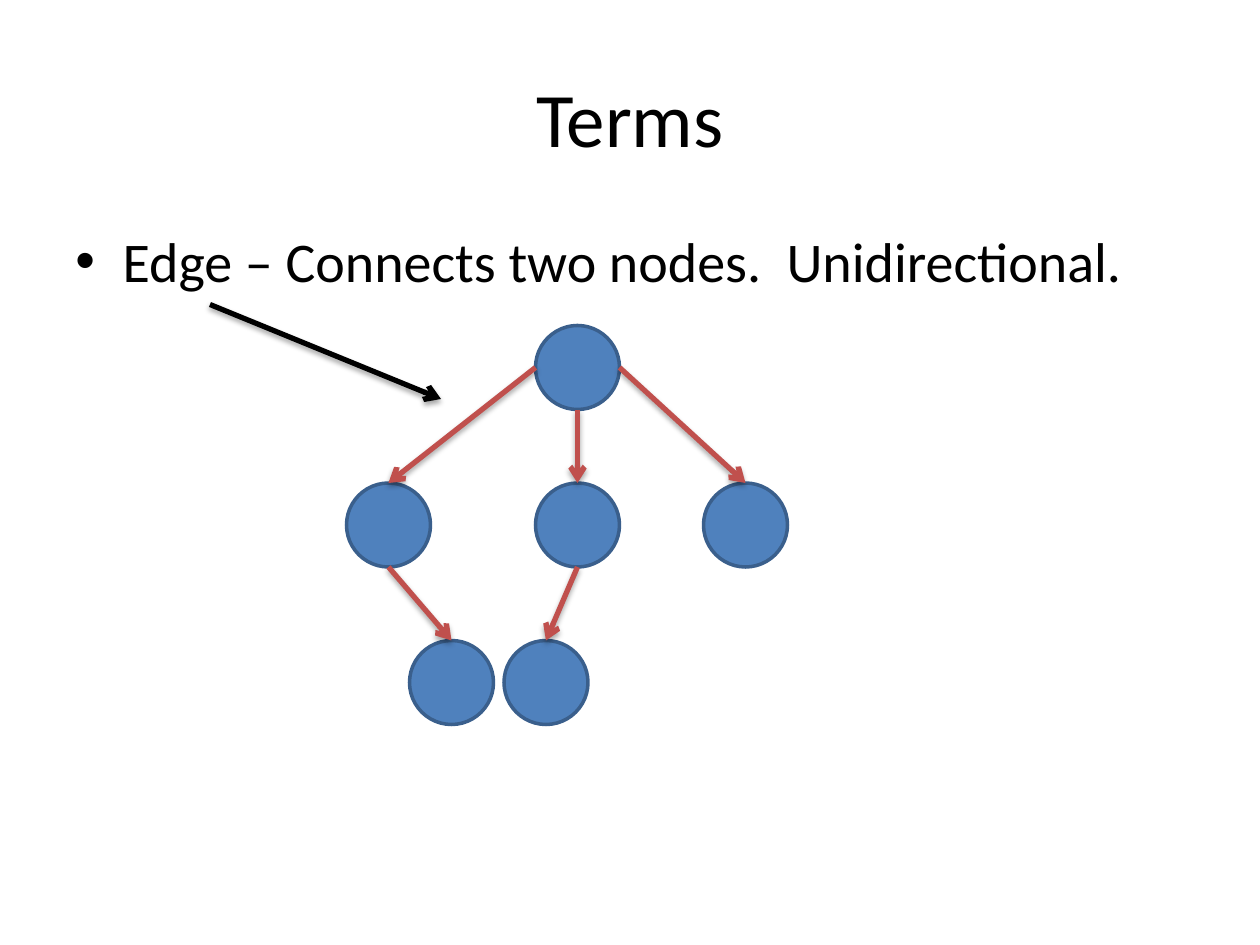
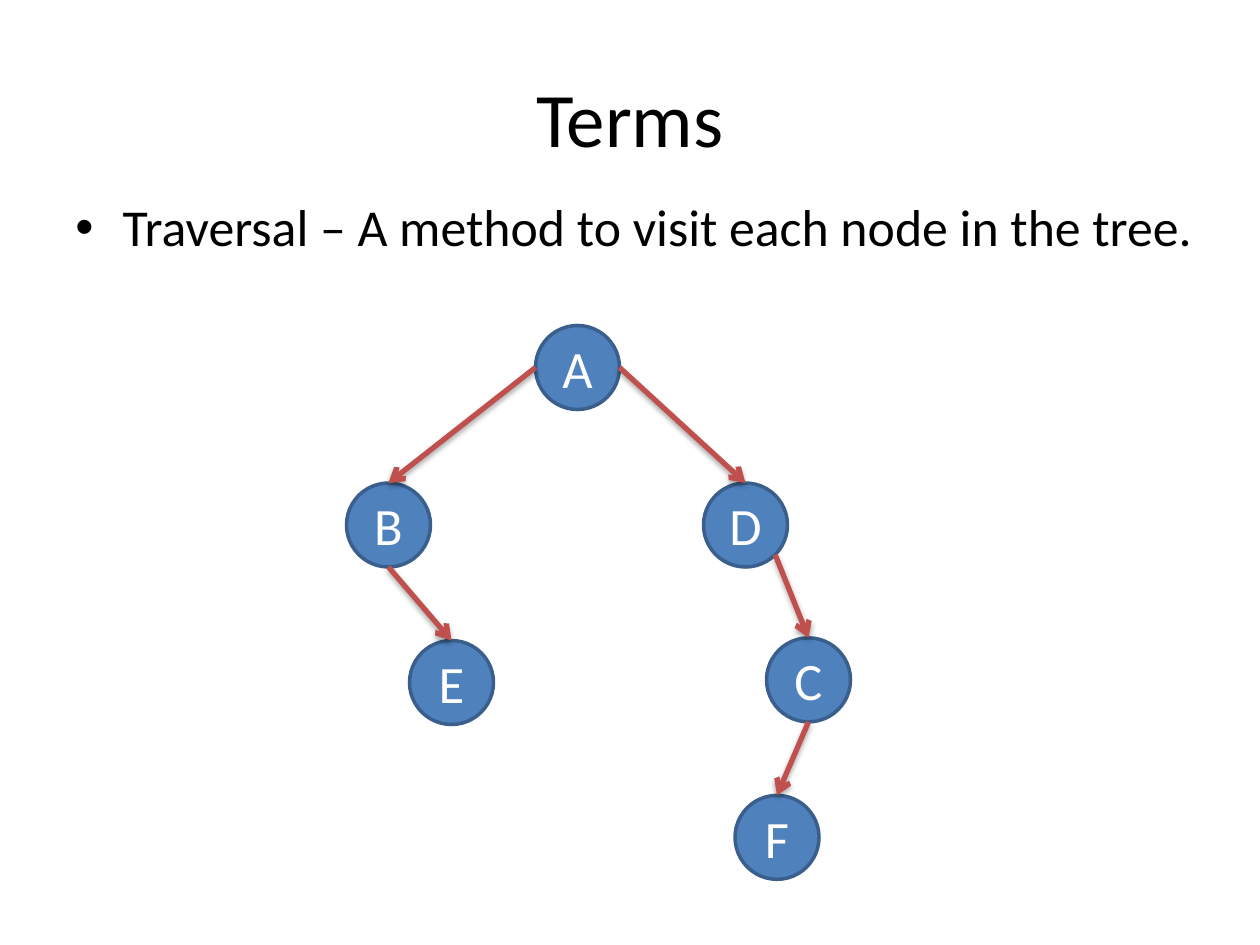
import math
from dataclasses import dataclass
from enum import Enum

from lxml import etree
from pptx import Presentation
from pptx import util as u
from pptx.dml.color import RGBColor
from pptx.enum import shapes, text
from pptx.oxml import ns

UNIT = u.Inches(10) / 120
COLS, ROWS = 120, 90
MARGIN = 6
NODE_SIZE = 8
INDENT = 4.5
FONT = "Calibri"
BLACK = RGBColor(0x00, 0x00, 0x00)
WHITE = RGBColor(0xFF, 0xFF, 0xFF)
NODE_FILL = RGBColor(0x4F, 0x81, 0xBD)
NODE_LINE = RGBColor(0x3A, 0x5F, 0x8C)
EDGE_RED = RGBColor(0xC0, 0x50, 0x4D)
DIAGONAL = math.sqrt(0.5)


class Site(Enum):
    TOP = (0, -1)
    LEFT = (-1, 0)
    BOTTOM = (0, 1)
    RIGHT = (1, 0)
    LOWER_RIGHT = (DIAGONAL, DIAGONAL)


@dataclass(frozen=True)
class Node:
    col: float
    row: float
    label: str = ""

    def point(self, site: Site) -> tuple[float, float]:
        radius = NODE_SIZE / 2
        dx, dy = site.value
        return self.col + radius * (1 + dx), self.row + radius * (1 + dy)


@dataclass(frozen=True)
class Edge:
    parent: str
    site: Site
    child: str


@dataclass(frozen=True)
class Term:
    definition: str
    size: float
    box: tuple[float, float, float, float]
    nodes: dict[str, Node]
    edges: list[Edge]
    pointer: tuple[tuple[float, float], tuple[float, float]] | None = None


EDGE_TERM = Term(
    "Edge – Connects two nodes.  Unidirectional.", 32, (MARGIN, 21, 108, 8),
    {
        "root": Node(51, 31),
        "left": Node(33, 46),
        "middle": Node(51, 46),
        "right": Node(67, 46),
        "left leaf": Node(39, 61),
        "middle leaf": Node(48, 61),
    },
    [
        Edge("root", Site.LEFT, "left"),
        Edge("root", Site.BOTTOM, "middle"),
        Edge("root", Site.RIGHT, "right"),
        Edge("left", Site.BOTTOM, "left leaf"),
        Edge("middle", Site.BOTTOM, "middle leaf"),
    ],
    pointer=((20, 29), (42, 38)),
)

TRAVERSAL_TERM = Term(
    "Traversal – A method to visit each node in the tree.", 29.6, (MARGIN, 18, 109, 11),
    {n.label: n for n in (
        Node(51, 31, "A"), Node(33, 46, "B"), Node(73, 60.75, "C"),
        Node(67, 46, "D"), Node(39, 61, "E"), Node(70, 75.75, "F"),
    )},
    [
        Edge("A", Site.LEFT, "B"),
        Edge("A", Site.RIGHT, "D"),
        Edge("B", Site.BOTTOM, "E"),
        Edge("D", Site.LOWER_RIGHT, "C"),
        Edge("C", Site.BOTTOM, "F"),
    ],
)


def grid(*values: float) -> list[u.Emu]:
    return [u.Emu(round(v * UNIT)) for v in values]


def add_xml(parent, tag: str, **attrs: str):
    return etree.SubElement(parent, ns.qn(tag), attrs)


def write(tf, content: str, *, size: float, color: RGBColor = BLACK,
          align=text.PP_ALIGN.CENTER, anchor=text.MSO_ANCHOR.MIDDLE,
          wrap: bool = True, bullet: bool = False) -> None:
    tf.word_wrap = wrap
    tf.vertical_anchor = anchor
    p = tf.paragraphs[0]
    p.alignment = align
    if bullet:
        pPr = p._p.get_or_add_pPr()
        indent = grid(INDENT)[0]
        pPr.set("marL", str(indent))
        pPr.set("indent", str(-indent))
        add_xml(add_xml(pPr, "a:spcBef"), "a:spcPct", val="20000")
        add_xml(pPr, "a:buFont", typeface="Arial")
        add_xml(pPr, "a:buChar", char="•")
    r = p.add_run()
    r.text = content
    r.font.name = FONT
    r.font.size = u.Pt(size)
    r.font.color.rgb = color


def add_node(s, node: Node) -> None:
    sp = s.shapes.add_shape(shapes.MSO_SHAPE.OVAL,
                            *grid(node.col, node.row, NODE_SIZE, NODE_SIZE))
    sp.shadow.inherit = False
    sp.fill.solid()
    sp.fill.fore_color.rgb = NODE_FILL
    sp.line.color.rgb = NODE_LINE
    sp.line.width = u.Pt(2)
    if node.label:
        tf = sp.text_frame
        tf.margin_left = tf.margin_right = tf.margin_top = tf.margin_bottom = 0
        write(tf, node.label, size=30, color=WHITE, wrap=False)


def add_arrow(s, start: tuple[float, float], end: tuple[float, float],
              color: RGBColor) -> None:
    line = s.shapes.add_connector(shapes.MSO_CONNECTOR.STRAIGHT, *grid(*start, *end))
    line.line.color.rgb = color
    line.line.width = u.Pt(3)
    add_xml(line.line._get_or_add_ln(), "a:tailEnd", type="arrow")
    effects = add_xml(line._element.spPr, "a:effectLst")
    shadow = add_xml(effects, "a:outerShdw", blurRad="40000", dist="23000",
                     dir="5400000", rotWithShape="0")
    add_xml(add_xml(shadow, "a:srgbClr", val=str(BLACK)), "a:alpha", val="35000")


def add_term_slide(prs, term: Term) -> None:
    s = prs.slides.add_slide(prs.slide_layouts[6])
    title = s.shapes.add_textbox(*grid(MARGIN, 3.6, COLS - 2 * MARGIN, 15))
    write(title.text_frame, "Terms", size=44)
    body = s.shapes.add_textbox(*grid(*term.box))
    write(body.text_frame, term.definition, size=term.size, bullet=True,
          align=text.PP_ALIGN.LEFT, anchor=text.MSO_ANCHOR.TOP)
    for node in term.nodes.values():
        add_node(s, node)
    for edge in term.edges:
        add_arrow(s, term.nodes[edge.parent].point(edge.site),
                  term.nodes[edge.child].point(Site.TOP), EDGE_RED)
    if term.pointer:
        add_arrow(s, *term.pointer, BLACK)


def main() -> None:
    prs = Presentation()
    prs.slide_width, prs.slide_height = grid(COLS, ROWS)
    for term in (EDGE_TERM, TRAVERSAL_TERM):
        add_term_slide(prs, term)
    prs.save("out.pptx")


if __name__ == "__main__":
    main()
